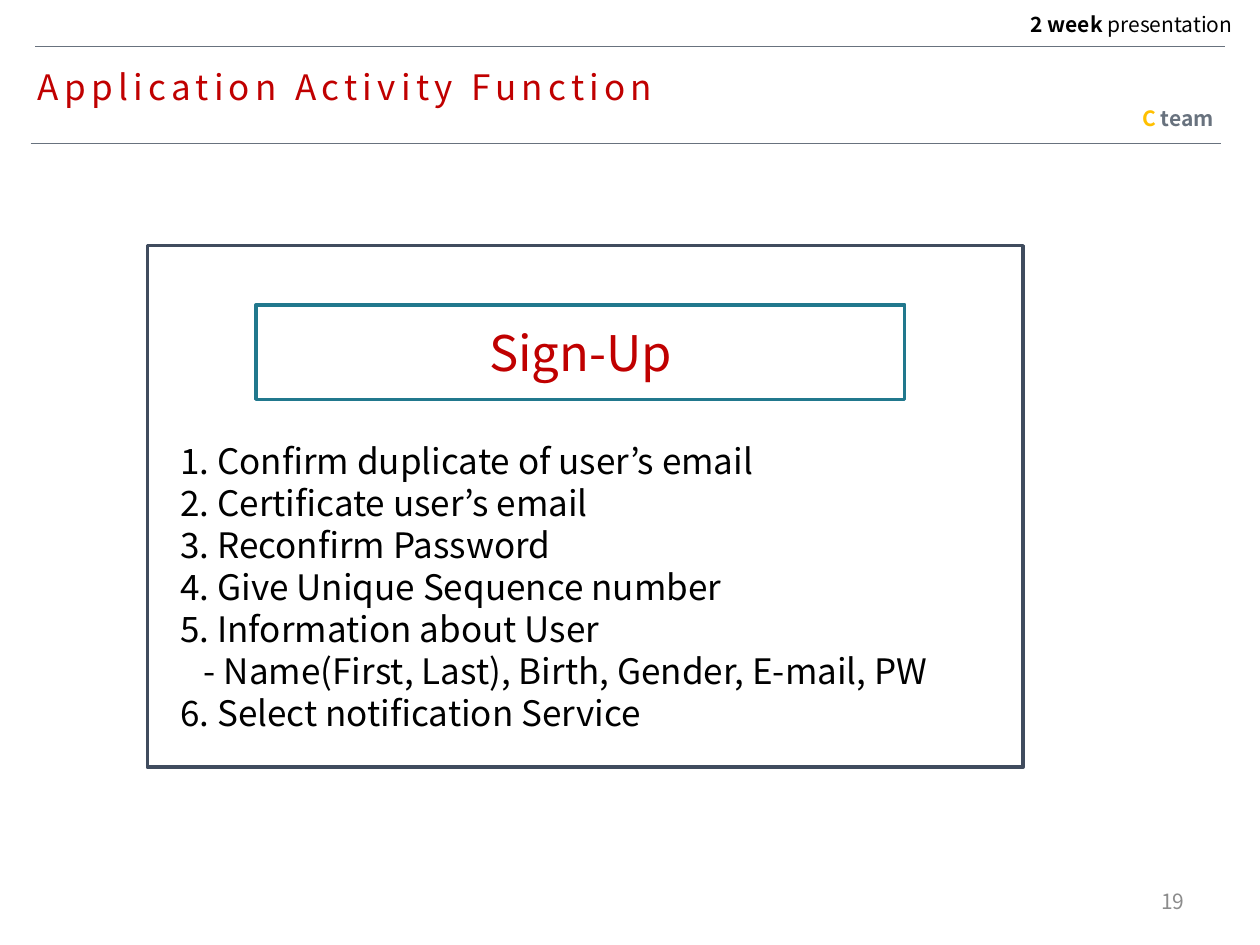
from typing import NamedTuple

from pptx import Presentation
from pptx.dml.color import RGBColor
from pptx.enum.shapes import MSO_CONNECTOR, MSO_SHAPE
from pptx.enum.text import MSO_ANCHOR, MSO_AUTO_SIZE, PP_ALIGN
from pptx.oxml.ns import qn
from pptx.util import Pt

FONT = "Noto Sans CJK KR"
RED, BLACK, SLATE = "C00000", "000000", "68727E"


class Box(NamedTuple):
    left: float
    top: float
    width: float
    height: float


class Piece(NamedTuple):
    text: str
    color: str
    bold: bool = False


class Label(NamedTuple):
    box: Box
    pieces: list[Piece]
    spacing: float = 1
    anchor: MSO_ANCHOR = MSO_ANCHOR.TOP


class Frame(NamedTuple):
    box: Box
    color: str


class Rule(NamedTuple):
    left: float
    top: float


WIDTH = 680
RULES = [Rule(20.2, 26.2), Rule(17.5, 82)]
LABELS = [
    Label(Box(563.8, 5.8, 147.6, 18.7),
          [Piece("2 week ", BLACK, True), Piece("presentation", BLACK)], 0.8),
    Label(Box(553, 59.8, 147.6, 18.7),
          [Piece("C", "FFC000", True), Piece(" team", SLATE, True)], 0.8),
    Label(Box(516.2, 500.4, 167.8, 28.8), [Piece("19", "8C8C8C")],
          anchor=MSO_ANCHOR.MIDDLE),
]
PANEL = Frame(Box(84.2, 140.4, 500.4, 298), "404C5E")
HEADING = Frame(Box(146.2, 174.2, 370.8, 54), "21788D")
STEPS = [
    "1. Confirm duplicate of user’s email",
    "2. Certificate user’s email",
    "3. Reconfirm Password",
    "4. Give Unique Sequence number",
    "5. Information about User",
    "- Name(First, Last), Birth, Gender, E-mail, PW",
    "6. Select notification Service",
]


def rgb(color: str) -> RGBColor:
    return RGBColor.from_string(color)


def style(font, size: float, color: str, bold: bool = False) -> None:
    font.name, font.size, font.bold = FONT, Pt(size), bold
    font.color.rgb = rgb(color)


def place(shape, box: Box) -> None:
    shape.left, shape.top, shape.width, shape.height = map(Pt, box)


def draw_rule(shapes, rule: Rule) -> None:
    line = shapes.add_connector(
        MSO_CONNECTOR.STRAIGHT, Pt(rule.left), Pt(rule.top),
        Pt(rule.left + WIDTH), Pt(rule.top))
    line.line.color.rgb = rgb(SLATE)
    line.line.width = Pt(0.25)
    props = line._element.spPr
    props.append(props.makeelement(qn("a:effectLst"), {}))


def draw_label(shapes, label: Label) -> None:
    frame = shapes.add_textbox(*map(Pt, label.box)).text_frame
    frame.word_wrap = True
    frame.vertical_anchor = label.anchor
    para = frame.paragraphs[0]
    para.alignment = PP_ALIGN.RIGHT
    para.line_spacing = label.spacing
    for piece in label.pieces:
        run = para.add_run()
        run.text = piece.text
        style(run.font, 12, piece.color, piece.bold)


def draw_frame(shapes, frame: Frame):
    shape = shapes.add_shape(MSO_SHAPE.RECTANGLE, *map(Pt, frame.box))
    shape.shadow.inherit = False
    shape.fill.background()
    shape.line.color.rgb = rgb(frame.color)
    shape.line.width = Pt(2)
    return shape


def fill_title(title) -> None:
    place(title, Box(14.4, 36.7, 391, 28.8))
    frame = title.text_frame
    frame.text = "Application Activity Function"
    frame.auto_size = MSO_AUTO_SIZE.SHAPE_TO_FIT_TEXT
    frame.vertical_anchor = MSO_ANCHOR.TOP
    para = frame.paragraphs[0]
    para.alignment = PP_ALIGN.LEFT
    para.line_spacing = 0.9
    run = para.runs[0]
    style(run.font, 20, RED)
    run._r.get_or_add_rPr().set("spc", "300")


def fill_steps(body) -> None:
    place(body, Box(95.8, 247.7, 487.4, 177.1))
    frame = body.text_frame
    frame.text = "\n".join(STEPS)
    frame.auto_size = MSO_AUTO_SIZE.SHAPE_TO_FIT_TEXT
    for para in frame.paragraphs:
        props = para._p.get_or_add_pPr()
        inset = 13.5 if para.text.startswith("-") else 0
        props.set("marL", str(Pt(inset)))
        props.set("indent", "0")
        props.append(props.makeelement(qn("a:buNone"), {}))
        para.space_before = Pt(0)
        style(para.runs[0].font, 20, BLACK)


def main() -> None:
    deck = Presentation()
    deck.slide_width, deck.slide_height = Pt(720), Pt(540)
    slide = deck.slides.add_slide(deck.slide_layouts[1])
    shapes = slide.shapes
    fill_title(shapes.title)
    fill_steps(slide.placeholders[1])
    for rule in RULES:
        draw_rule(shapes, rule)
    for label in LABELS:
        draw_label(shapes, label)
    draw_frame(shapes, PANEL)
    frame = draw_frame(shapes, HEADING).text_frame
    frame.text = "Sign-Up"
    frame.vertical_anchor = MSO_ANCHOR.MIDDLE
    para = frame.paragraphs[0]
    para.alignment = PP_ALIGN.CENTER
    style(para.runs[0].font, 28, RED)
    deck.save("out.pptx")


if __name__ == "__main__":
    main()
